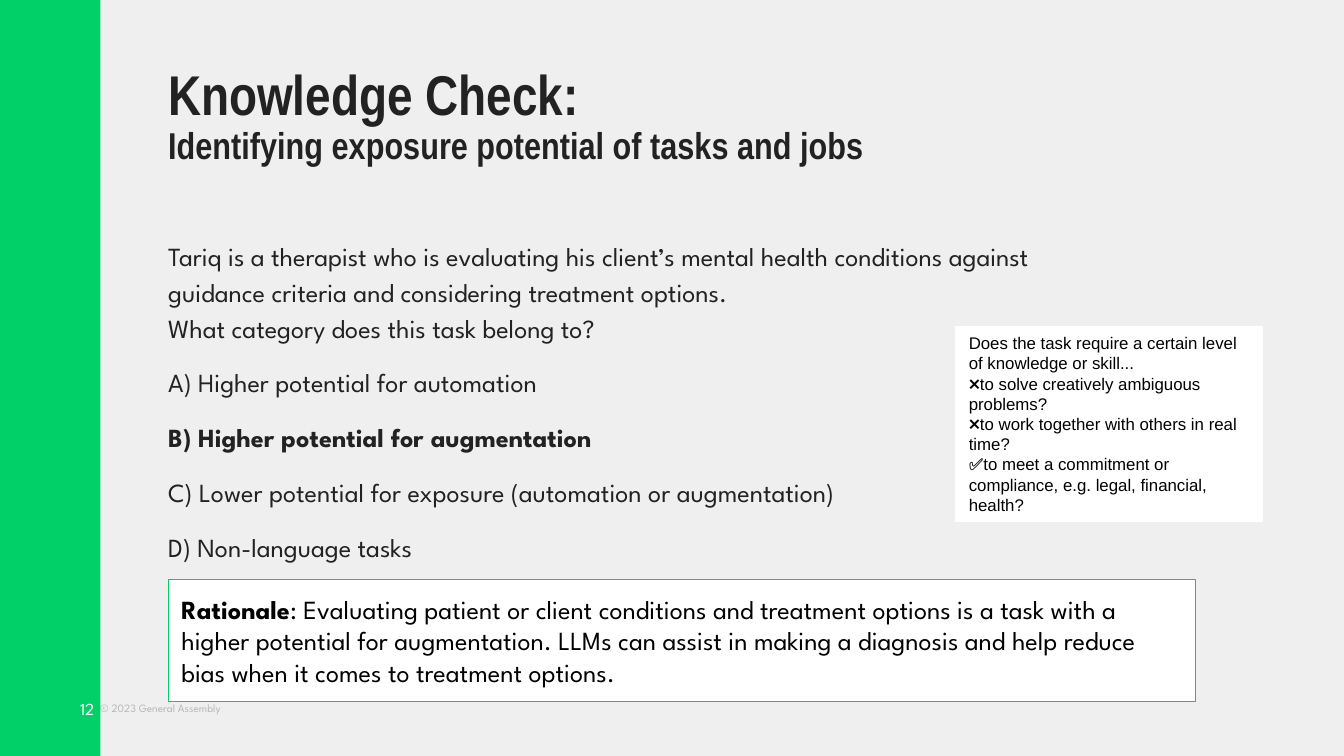
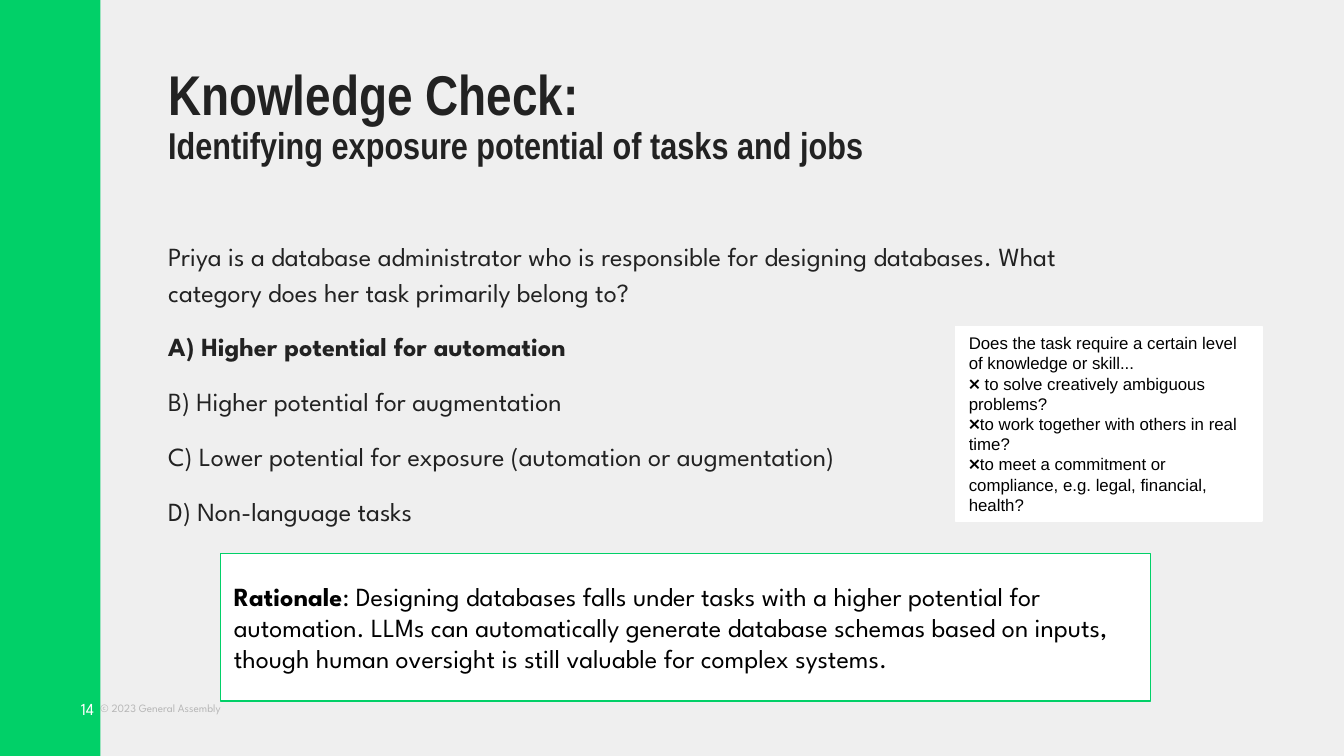
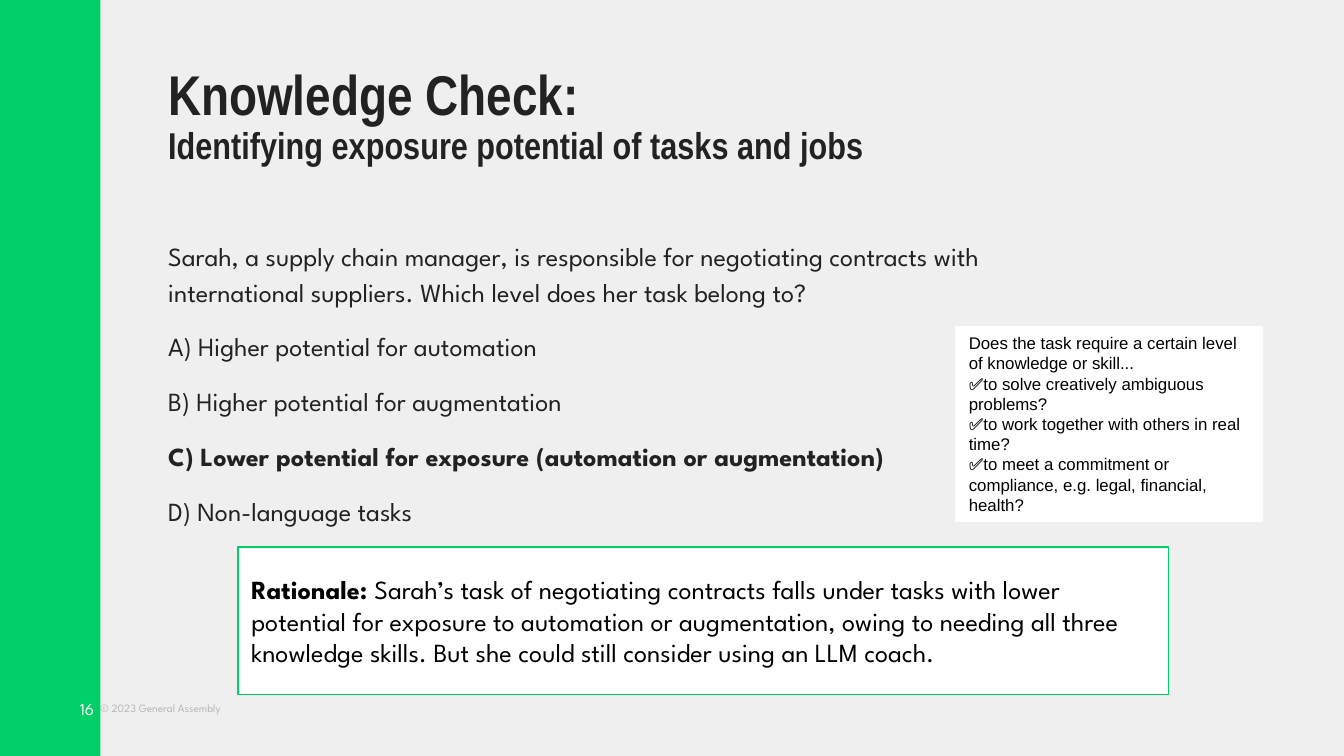
from dataclasses import dataclass

from pptx import Presentation
from pptx.dml.color import RGBColor
from pptx.enum.shapes import MSO_SHAPE
from pptx.enum.text import MSO_ANCHOR, PP_ALIGN
from pptx.util import Cm, Pt

RECTANGLE = MSO_SHAPE.RECTANGLE
TOP, MIDDLE = MSO_ANCHOR.TOP, MSO_ANCHOR.MIDDLE
LEFT, RIGHT = PP_ALIGN.LEFT, PP_ALIGN.RIGHT

COLORS = {
    "background": "EFEFEF",
    "green": "01D068",
    "ink": "222222",
    "black": "000000",
    "white": "FFFFFF",
    "gray": "B7B7B7",
}
HEADING_FONT, BODY_FONT, CHECKLIST_FONT = "Arial Narrow", "League Spartan", "Arial"

SLIDE_WIDTH, SLIDE_HEIGHT = 25.4, 14.29
BAND_WIDTH = 1.9
CONTENT_LEFT = 3.18
BOX_INSET = 0.25

TITLE = "Knowledge Check:"
SUBTITLE = "Identifying exposure potential of tasks and jobs"
COPYRIGHT = "© 2023 General Assembly"
ANSWERS = (
    "A) Higher potential for automation",
    "B) Higher potential for augmentation",
    "C) Lower potential for exposure (automation or augmentation)",
    "D) Non-language tasks",
)
CHECKLIST_INTRO = "Does the task require a certain level of knowledge or skill..."
CRITERIA = (
    "to solve creatively ambiguous problems?",
    "to work together with others in real time?",
    "to meet a commitment or compliance, e.g. legal, financial, health?",
)


@dataclass(frozen=True)
class Area:
    """A place on the slide, in centimetres."""
    left: float
    top: float
    width: float
    height: float

    def lengths(self) -> tuple:
        return Cm(self.left), Cm(self.top), Cm(self.width), Cm(self.height)


@dataclass(frozen=True)
class KnowledgeCheck:
    number: int
    question: str
    correct: str
    marks: tuple[str, str, str]
    rationale_label: str
    rationale: str
    rationale_area: Area


CHECKS = (
    KnowledgeCheck(
        12,
        "Tariq is a therapist who is evaluating his client’s mental health conditions "
        "against guidance criteria and considering treatment options.\n"
        "What category does this task belong to?",
        "B", ("❌", "❌", "✅"), "Rationale",
        ": Evaluating patient or client conditions and treatment options is a task with a "
        "higher potential for augmentation. LLMs can assist in making a diagnosis and help "
        "reduce bias when it comes to treatment options.",
        Area(CONTENT_LEFT, 10.95, 19.41, 2.31),
    ),
    KnowledgeCheck(
        14,
        "Priya is a database administrator who is responsible for designing databases. "
        "What category does her task primarily belong to?",
        "A", ("❌ ", "❌", "❌"), "Rationale",
        ": Designing databases falls under tasks with a higher potential for automation. "
        "LLMs can automatically generate database schemas based on inputs, though human "
        "oversight is still valuable for complex systems.",
        Area(4.17, 10.46, 17.58, 2.79),
    ),
    KnowledgeCheck(
        16,
        "Sarah, a supply chain manager, is responsible for negotiating contracts with "
        "international suppliers. Which level does her task belong to?",
        "C", ("✅", "✅", "✅"), "Rationale: ",
        "Sarah’s task of negotiating contracts falls under tasks with lower potential for "
        "exposure to automation or augmentation, owing to needing all three knowledge "
        "skills. But she could still consider using an LLM coach.",
        Area(4.5, 10.34, 17.58, 2.79),
    ),
)


def rgb(color: str) -> RGBColor:
    return RGBColor.from_string(COLORS[color])


def add_rectangle(slide, area: Area, *, fill: str, line: str | None = None):
    rectangle = slide.shapes.add_shape(RECTANGLE, *area.lengths())
    rectangle.shadow.inherit = False
    rectangle.fill.solid()
    rectangle.fill.fore_color.rgb = rgb(fill)
    if line:
        rectangle.line.color.rgb = rgb(line)
        rectangle.line.width = Pt(0.75)
    else:
        rectangle.line.fill.background()
    return rectangle


def text_frame(shape, *, inset: float = 0, anchor=TOP):
    """Prepare the frame of a shape for wrapped text."""
    frame = shape.text_frame
    frame.word_wrap = True
    frame.vertical_anchor = anchor
    frame.margin_left = frame.margin_right = Cm(inset)
    frame.margin_top = frame.margin_bottom = Cm(inset)
    return frame


def add_text_area(slide, area: Area, *, anchor=TOP):
    return text_frame(slide.shapes.add_textbox(*area.lengths()), anchor=anchor)


def write(frame, text: str, *, size: float, font: str = BODY_FONT, color: str = "ink",
          bold: bool = False, align=LEFT, spacing: float = 1.0, before: float = 0,
          after: float = 0, same_paragraph: bool = False) -> None:
    """Write text as a new paragraph, or go on with the last one."""
    paragraph = frame.paragraphs[-1]
    if not same_paragraph:
        if paragraph.runs:
            paragraph = frame.add_paragraph()
        paragraph.alignment = align
        paragraph.line_spacing = spacing
        paragraph.space_before, paragraph.space_after = Pt(before), Pt(after)
    for index, line in enumerate(text.split("\n")):
        if index:
            paragraph.add_line_break()
        run = paragraph.add_run()
        run.text = line
        run.font.name = font
        run.font.size = Pt(size)
        run.font.bold = bold
        run.font.color.rgb = rgb(color)


def add_frame_and_title(slide, number: int) -> None:
    slide.background.fill.solid()
    slide.background.fill.fore_color.rgb = rgb("background")
    copyright_line = add_text_area(slide, Area(BAND_WIDTH, 13.13, 2.54, 0.51), anchor=MIDDLE)
    write(copyright_line, COPYRIGHT, size=6, color="gray")
    add_rectangle(slide, Area(0, 0, BAND_WIDTH, SLIDE_HEIGHT), fill="green")
    page_number = add_text_area(slide, Area(0.89, 12.95, 0.89, 0.89), anchor=MIDDLE)
    write(page_number, str(number), size=9, color="white", align=RIGHT)
    heading = add_text_area(slide, Area(CONTENT_LEFT, 1.27, 19.74, 2.31))
    for text, size in ((TITLE, 30), (SUBTITLE, 20)):
        write(heading, text, size=size, font=HEADING_FONT, bold=True, spacing=0.9)


def add_question(slide, check: KnowledgeCheck) -> None:
    body = add_text_area(slide, Area(CONTENT_LEFT, 4.45, 17.63, 6.45))
    write(body, check.question, size=14, spacing=1.15)
    for answer in ANSWERS:
        write(body, answer, size=14, spacing=1.15, before=10,
              after=10 if answer == ANSWERS[-1] else 0,
              bold=answer.startswith(check.correct))


def add_checklist(slide, marks: tuple[str, str, str]) -> None:
    card = add_rectangle(slide, Area(18.06, 6.17, 5.79, 3.68), fill="white", line="white")
    checklist = text_frame(card, inset=BOX_INSET, anchor=MIDDLE)
    marked = [mark + criterion for mark, criterion in zip(marks, CRITERIA)]
    for text in (CHECKLIST_INTRO, *marked):
        write(checklist, text, size=9, font=CHECKLIST_FONT, color="black")


def add_rationale(slide, check: KnowledgeCheck) -> None:
    card = add_rectangle(slide, check.rationale_area, fill="white", line="green")
    rationale = text_frame(card, inset=BOX_INSET, anchor=MIDDLE)
    write(rationale, check.rationale_label, size=14, color="black", bold=True)
    write(rationale, check.rationale, size=14, color="black", same_paragraph=True)


def main() -> None:
    deck = Presentation()
    deck.slide_width, deck.slide_height = Cm(SLIDE_WIDTH), Cm(SLIDE_HEIGHT)
    blank = deck.slide_layouts[6]
    for check in CHECKS:
        slide = deck.slides.add_slide(blank)
        add_frame_and_title(slide, check.number)
        add_rationale(slide, check)
        add_question(slide, check)
        add_checklist(slide, check.marks)
    deck.save("out.pptx")


if __name__ == "__main__":
    main()
